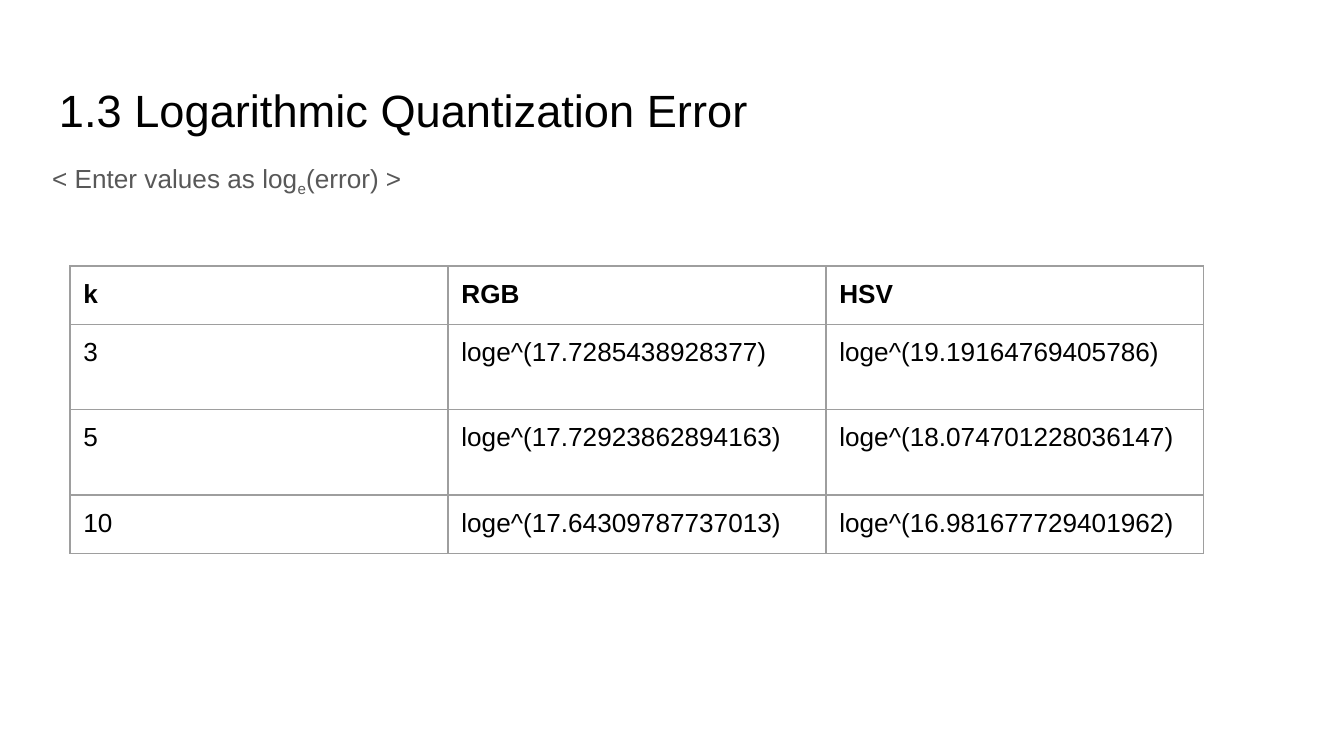
import pptx
import pptx.util
import pptx.dml.color
import pptx.enum.text
import pptx.oxml.ns
from lxml import etree

Pt = pptx.util.Pt
RGBColor = pptx.dml.color.RGBColor
MSO_ANCHOR = pptx.enum.text.MSO_ANCHOR
qn = pptx.oxml.ns.qn

BLACK = RGBColor(0x00, 0x00, 0x00)
GRAY = RGBColor(0x58, 0x58, 0x58)
BORDER = RGBColor(0x9E, 0x9E, 0x9E)

TITLE = "1.3 Logarithmic Quantization Error"
HINT = [("< Enter values as log", 0), ("e", -22), ("(error) >", 0)]
ROWS = [
    ("k", "RGB", "HSV"),
    ("3", "loge^(17.7285438928377)", "loge^(19.19164769405786)"),
    ("5", "loge^(17.72923862894163)", "loge^(18.074701228036147)"),
    ("10", "loge^(17.64309787737013)", "loge^(16.981677729401962)"),
]
ROW_HEIGHTS = [30, 45.75, 45.75, 30]
COL_WIDTH = 202.5
INSET = 7.2


def add_text(p, text, size=14, color=BLACK, bold=False, baseline=0):
    r = p.add_run()
    r.text = text
    r.font.name = "Arial"
    r.font.size = Pt(size)
    r.font.bold = bold
    r.font.color.rgb = color
    if baseline:
        r._r.get_or_add_rPr().set("baseline", str(baseline * 1000))


def set_insets(frame):
    for side in ("left", "top", "right", "bottom"):
        setattr(frame, f"margin_{side}", Pt(INSET))


def add_box(s, left, top, width, height, anchor):
    sp = s.shapes.add_textbox(Pt(left), Pt(top), Pt(width), Pt(height))
    tf = sp.text_frame
    tf.word_wrap = True
    tf.vertical_anchor = anchor
    set_insets(tf)
    return tf.paragraphs[0]


def set_borders(cell):
    tcPr = cell._tc.get_or_add_tcPr()
    for side in ("lnL", "lnR", "lnT", "lnB"):
        ln = etree.SubElement(tcPr, qn(f"a:{side}"), w=str(Pt(0.75)))
        fill = etree.SubElement(ln, qn("a:solidFill"))
        etree.SubElement(fill, qn("a:srgbClr"), val=str(BORDER))


prs = pptx.Presentation()
prs.slide_width, prs.slide_height = Pt(720), Pt(405)
s = prs.slides.add_slide(prs.slide_layouts[6])

p = add_box(s, 24.5, 35, 671, 45.4, MSO_ANCHOR.BOTTOM)
add_text(p, TITLE, size=24.2)

p = add_box(s, 20.9, 77, 643, 269.3, MSO_ANCHOR.TOP)
p.line_spacing = 1.15
p.space_before = Pt(16)
for text, baseline in HINT:
    add_text(p, text, color=GRAY, baseline=baseline)

table = s.shapes.add_table(
    len(ROWS), len(ROWS[0]), Pt(37.5), Pt(142.5),
    Pt(COL_WIDTH * len(ROWS[0])), Pt(sum(ROW_HEIGHTS))).table
for col in table.columns:
    col.width = Pt(COL_WIDTH)
for i, (values, height) in enumerate(zip(ROWS, ROW_HEIGHTS)):
    table.rows[i].height = Pt(height)
    for j, value in enumerate(values):
        cell = table.cell(i, j)
        set_insets(cell)
        set_borders(cell)
        cell.fill.background()
        add_text(cell.text_frame.paragraphs[0], value, bold=i == 0)

prs.save("out.pptx")
